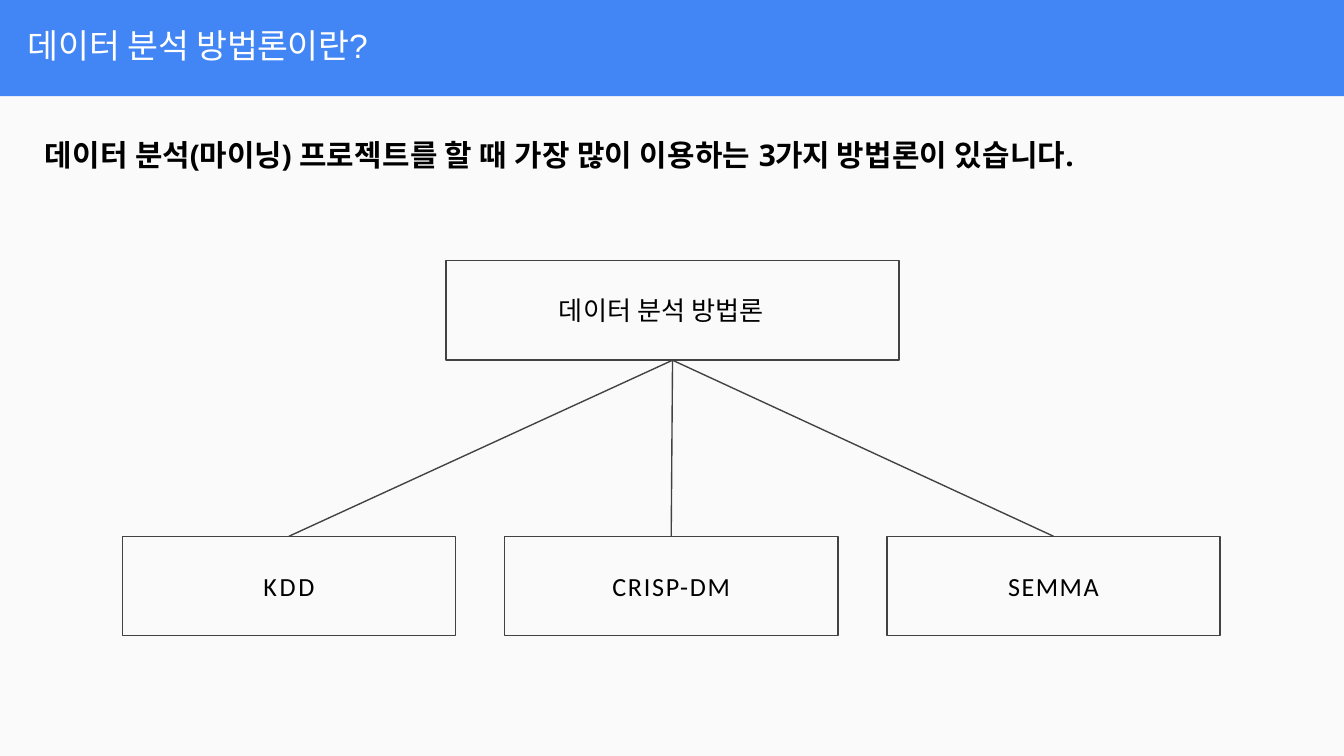
import pptx
import pptx.util
import pptx.dml.color
import pptx.enum.shapes
import pptx.enum.text
import pptx.oxml.ns
import lxml.etree

Pt = pptx.util.Pt
SHAPE = pptx.enum.shapes.MSO_SHAPE
ALIGN = pptx.enum.text.PP_ALIGN
HUES = {"blue": "4285F4", "pale": "FAFAFA", "gray": "424242",
        "black": "000000", "white": "FFFFFF"}
NOTO, OPEN = "Noto Sans CJK KR", "Open Sans"


class Deck:
    def __init__(self, wide, high):
        self.file = pptx.Presentation()
        self.file.slide_width, self.file.slide_height = Pt(wide), Pt(high)
        self.slide = self.file.slides.add_slide(self.file.slide_layouts[6])
        self.paint(self.slide.background.fill, "pale")

    def paint(self, fill, hue):
        fill.solid()
        fill.fore_color.rgb = pptx.dml.color.RGBColor.from_string(HUES[hue])

    def rect(self, left, top, wide, high, hue, edge=None):
        shape = self.slide.shapes.add_shape(
            SHAPE.RECTANGLE, Pt(left), Pt(top), Pt(wide), Pt(high))
        shape.shadow.inherit = False
        self.paint(shape.fill, hue)
        if edge:
            self.paint(shape.line.fill, edge)
            shape.line.width = Pt(0.75)
        else:
            shape.line.fill.background()
        return shape

    def words(self, frame, parts, size, hue, bold=False):
        frame.word_wrap = True
        line = frame.paragraphs[0]
        for text, face, gap in parts:
            run = line.add_run()
            run.text = text
            run.font.name, run.font.size, run.font.bold = face, Pt(size), bold
            self.paint(run.font.fill, hue)
            props = run.font._element
            props.set("spc", str(round(gap * 100)))
            east = lxml.etree.SubElement(props, pptx.oxml.ns.qn("a:ea"))
            east.set("typeface", face)
        return line

    def inset(self, frame, left=0, top=0):
        frame.margin_left, frame.margin_top = Pt(left), Pt(top)
        frame.margin_right = frame.margin_bottom = 0

    def label(self, left, top, wide, high, parts, size, hue, bold=False):
        box = self.slide.shapes.add_textbox(Pt(left), Pt(top), Pt(wide), Pt(high))
        self.inset(box.text_frame, 1, 1)
        line = self.words(box.text_frame, parts, size, hue, bold)
        line.space_before = Pt(1)

    def node(self, left, top, wide, part, indent=0):
        box = self.rect(left, top, wide, 53.3, "pale", "gray")
        frame = box.text_frame
        self.inset(frame, indent)
        frame.vertical_anchor = pptx.enum.text.MSO_ANCHOR.MIDDLE
        line = self.words(frame, [part], 14, "black")
        line.alignment = ALIGN.LEFT if indent else ALIGN.CENTER
        return box

    def link(self, start, end):
        line = self.slide.shapes.add_connector(
            pptx.enum.shapes.MSO_CONNECTOR.STRAIGHT, 0, 0, 0, 0)
        line.begin_connect(start, 2)
        line.end_connect(end, 0)
        self.paint(line.line.fill, "gray")
        line.line.width = Pt(0.75)
        lxml.etree.SubElement(line._element.spPr, pptx.oxml.ns.qn("a:effectLst"))


def main():
    deck = Deck(720, 405)
    deck.rect(0, 0, 720, 51.6, "blue")
    deck.label(13.7, 12.2, 199.4, 23.8, [
        ("데이터 분석 ", NOTO, 0), ("방법론이란", NOTO, -0.3),
        ("?", "Arial", -0.3)], 18, "white")
    root = deck.node(239, 139.7, 242.6, ("데이터 분석 방법론", NOTO, 0), 60.5)
    names = [("KDD", 1.4), ("CRISP-DM", 0.9), ("SEMMA", 0.8)]
    for i, (name, gap) in enumerate(names):
        leaf = deck.node(65.5 + 204.8 * i, 287.3, 178.6, (name, "Calibri", gap))
        deck.link(root, leaf)
    deck.label(23, 72, 587.5, 20.9, [
        ("데이터 ", NOTO, 0.2), ("분석", NOTO, -0.1), ("(", OPEN, -0.1),
        ("마이닝", NOTO, -0.1), (") ", OPEN, -0.1),
        ("프로젝트를 할 때 가장 많이 이용하는 ", NOTO, 0.2),
        ("3", OPEN, -0.2), ("가지 ", NOTO, -0.2), ("방법론이 ", NOTO, 0.2),
        ("있습니다", NOTO, 0.1), (".", OPEN, 0.1)], 16, "black", True)
    deck.file.save("out.pptx")


if __name__ == "__main__":
    main()
